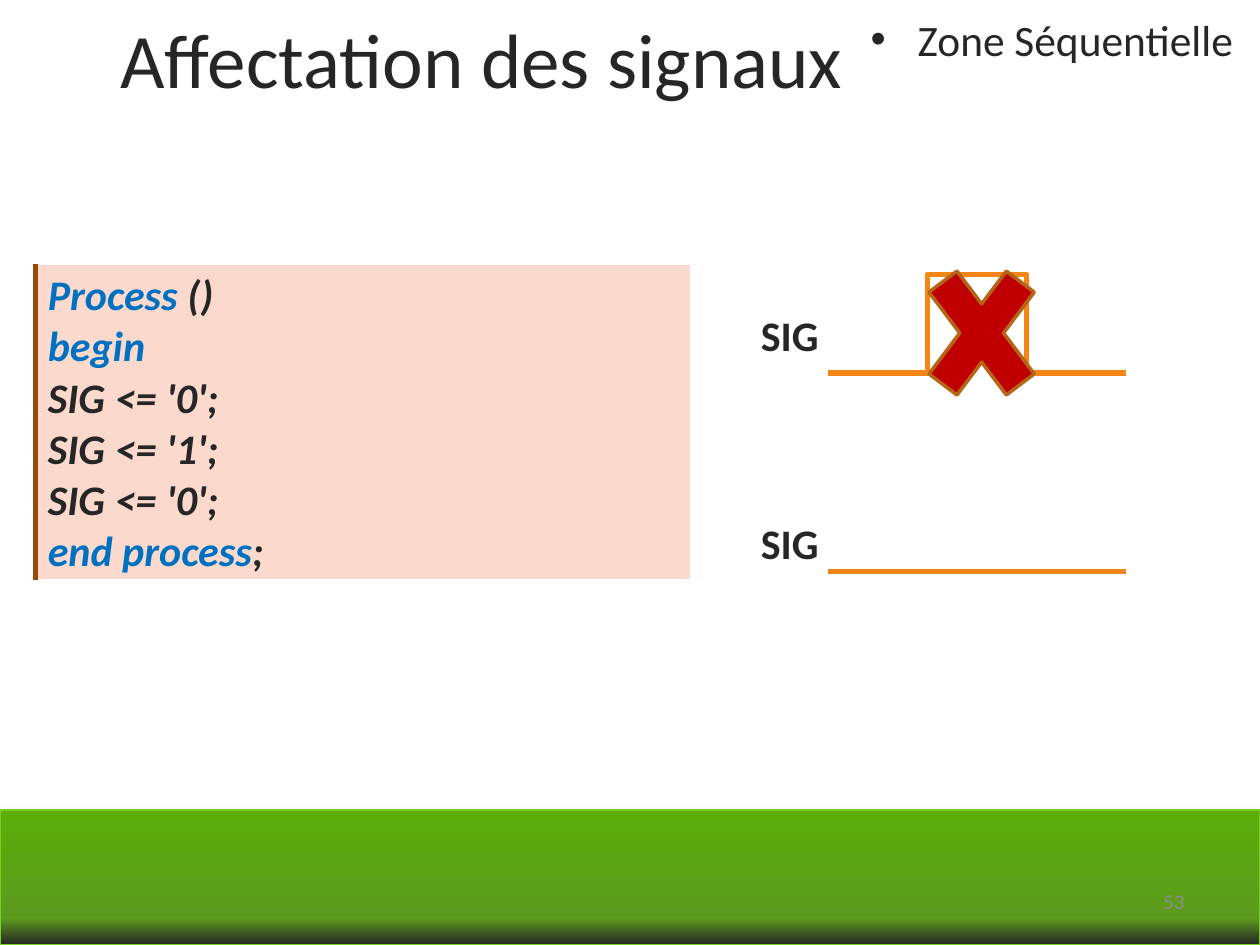
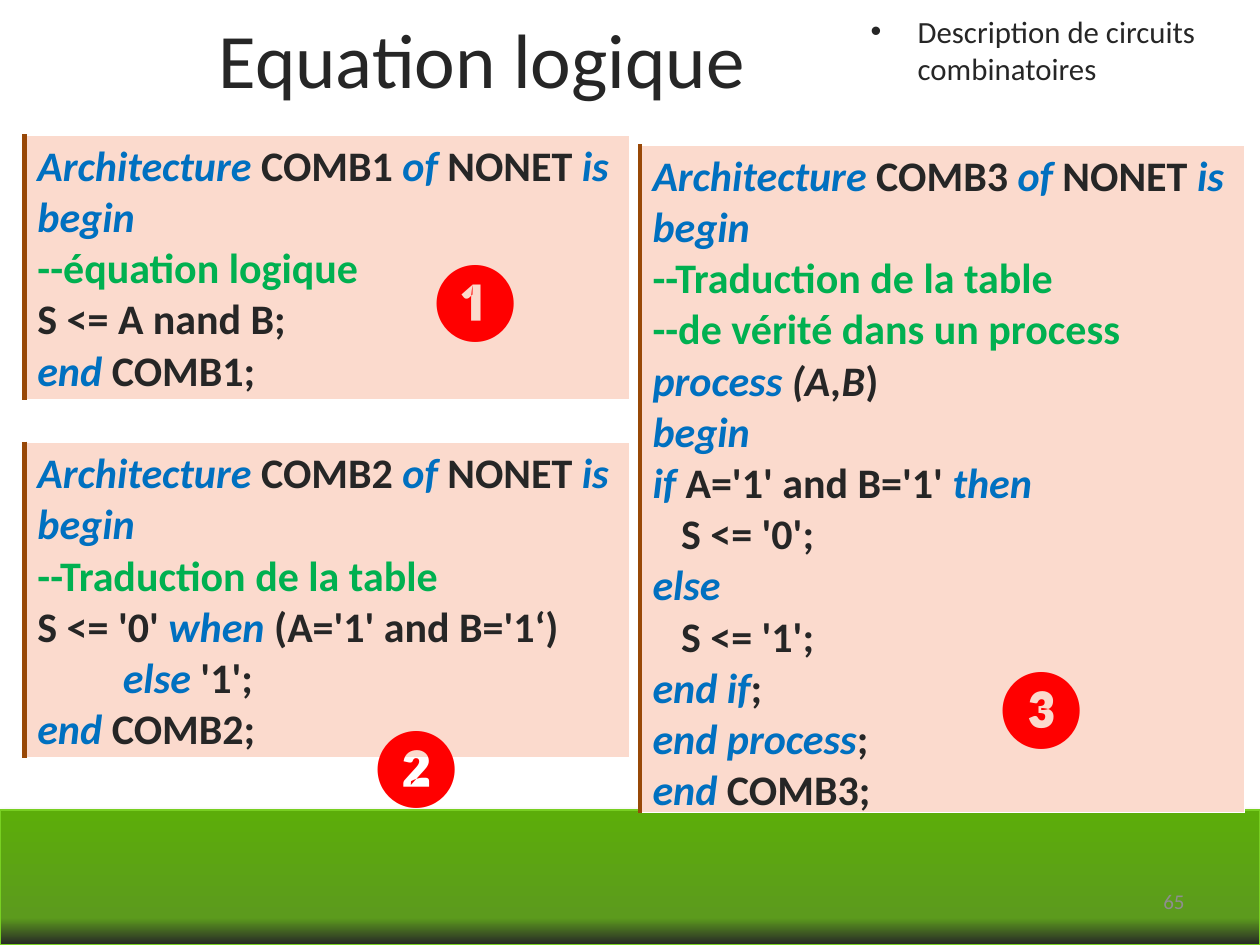
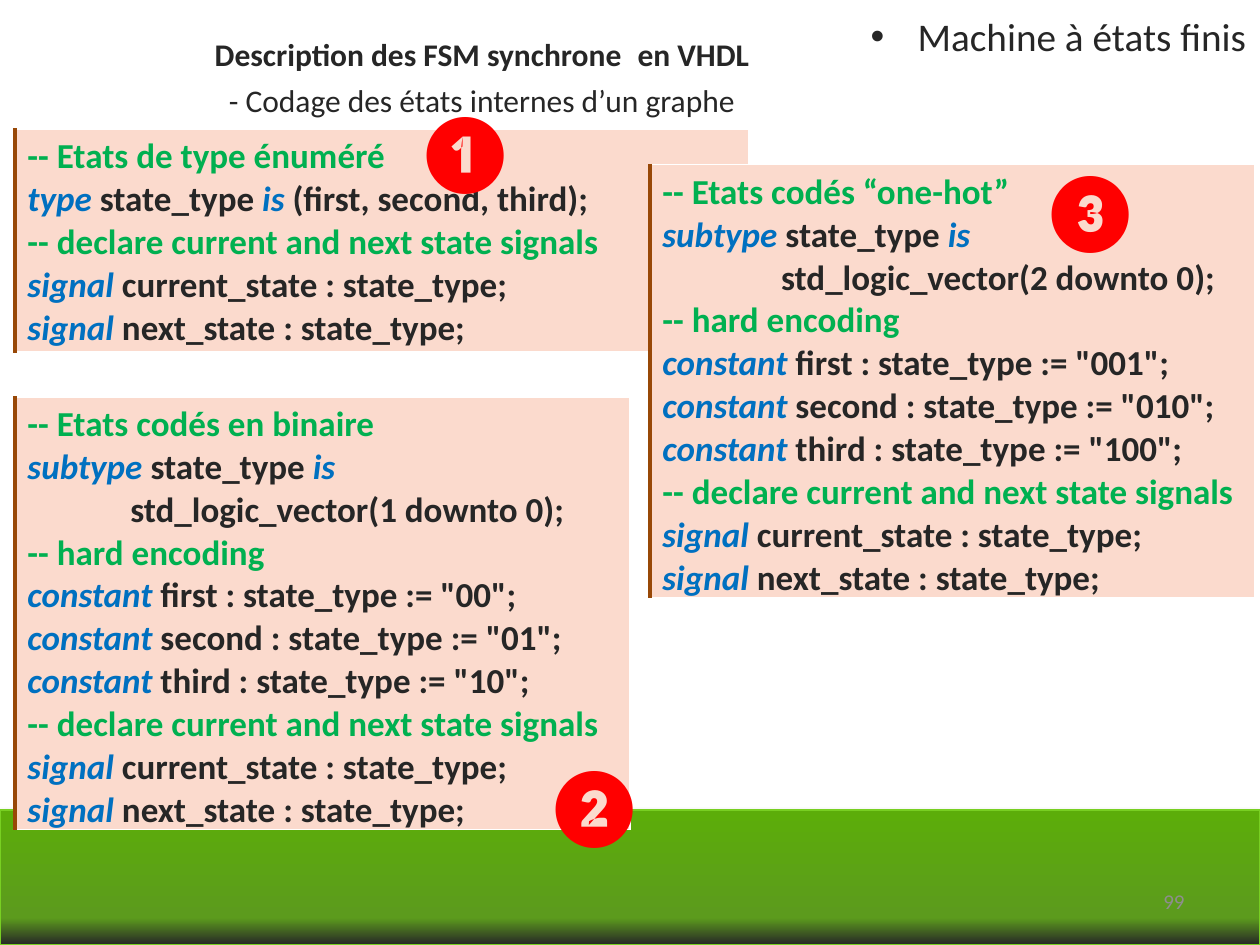
import copy

import pptx
import pptx.dml.color
import pptx.enum.shapes
import pptx.enum.text
import pptx.oxml
import pptx.oxml.ns
import pptx.util

Cm = pptx.util.Cm
Pt = pptx.util.Pt
MSO_SHAPE = pptx.enum.shapes.MSO_SHAPE
MSO_CONNECTOR = pptx.enum.shapes.MSO_CONNECTOR
MSO_ANCHOR = pptx.enum.text.MSO_ANCHOR
PP_ALIGN = pptx.enum.text.PP_ALIGN
NAMESPACE = pptx.oxml.ns.nsdecls("a")

COLORS = {
    "text": "262626",
    "keyword": "0070C0",
    "comment": "00B050",
    "number": "8E8E8E",
    "badge": "FF0000",
    "code": "FBDACD",
    "code_edge": "984807",
    "white": "FFFFFF",
    "band_top": "5CAD0A",
    "band_middle": "5C9B1D",
    "band_line": "78CF22",
    "signal": "F48618",
    "cross": "C00000",
    "cross_line": "B56516",
}
RGB = {name: pptx.dml.color.RGBColor.from_string(value) for name, value in COLORS.items()}

PROCESS = """|Process|~ ()
|begin|
~SIG <= '0';
~SIG <= '1';
~SIG <= '0';
|end process|~;"""

COMB1 = """|Architecture| COMB1 |of| NONET |is|
|begin|
--équation logique
S <= A nand B;
|end| COMB1;"""

COMB2 = """|Architecture| COMB2 |of| NONET |is|
|begin|
--Traduction de la table
S <= '0' |when| (A='1' and B='1‘)
|         else| '1';
|end| COMB2;"""

COMB3 = """|Architecture| COMB3 |of| NONET |is|
|begin|
--Traduction de la table
--de vérité dans un process
|process |~(A,B||)
|begin|
|if| A='1' and B='1' |then|
   S <= '0';
|else|
   S <= '1';
|end if|;
|end process|;
|end| COMB3;"""

STATE_SIGNALS = """
-- declare current and next state signals
|signal |current_state : state_type;
|signal |next_state : state_type;"""

ENUMERATED = """-- Etats de type énuméré
|type |state_type |is| (first, second, third);""" + STATE_SIGNALS

ENCODED = """-- Etats codés {}
|subtype |state_type |is|
{}std_logic_vector({} downto 0);
-- hard encoding
|constant| first : state_type := "{}";
|constant| second : state_type := "{}";
|constant| third : state_type := "{}";""" + STATE_SIGNALS

BINARY = ENCODED.format("en binaire", " " * 13, 1, "00", "01", "10")
ONE_HOT = ENCODED.format("“one-hot”", " " * 15, 2, "001", "010", "100")

PAGES = [
    {
        "number": "53",
        "title": [[("Affectation des signaux", 44, False)]],
        "topic": ("Zone Séquentielle", 24.8),
        "code_size": 24,
        "codes": [((0.71, 5.33, 13.21, 6.35), PROCESS)],
        "badges": [],
    },
    {
        "number": "65",
        "title": [[("Equation logique", 44, False)]],
        "topic": ("Description de circuits combinatoires", 17.6),
        "code_size": 24,
        "codes": [
            ((0.5, 2.72, 12.19, 5.33), COMB1),
            ((12.9, 2.92, 12.19, 13.46), COMB3),
            ((0.5, 8.92, 12.19, 6.35), COMB2),
        ],
        "badges": [(8.3, 4.93), (7.11, 14.32), (19.71, 13.14)],
    },
    {
        "number": "99",
        "title": [
            [("Description des FSM synchrone", 18, True), (" ", 39.6, True), ("en VHDL", 18, True)],
            [("- Codage des états internes d’un graphe", 18, False)],
        ],
        "topic": ("Machine à états finis", 22.4),
        "code_size": 20,
        "codes": [
            ((0.3, 2.6, 14.8, 4.5), ENUMERATED),
            ((0.3, 8.0, 12.4, 8.71), BINARY),
            ((13.1, 3.32, 12.19, 8.71), ONE_HOT),
        ],
        "badges": [(8.1, 1.94), (10.7, 15.12), (20.7, 3.13)],
    },
]


def style_font(font, size, color, bold=False, italic=False):
    font.name = "Calibri"
    font.size = Pt(size)
    font.color.rgb = RGB[color]
    font.bold = bold
    font.italic = italic


def add_text(slide, box, text, size, color, bold=False, wrap=True):
    shape = slide.shapes.add_textbox(*map(Cm, box))
    shape.text_frame.word_wrap = wrap
    shape.text_frame.text = text
    style_font(shape.text_frame.paragraphs[0].runs[0].font, size, color, bold)
    return shape


presentation = pptx.Presentation()
presentation.slide_width = Cm(25.4)
presentation.slide_height = Cm(19.05)
layout = presentation.slide_layouts[5]
slides = [presentation.slides.add_slide(layout) for page in PAGES]

band = slides[0].shapes.add_shape(MSO_SHAPE.RECTANGLE, 0, Cm(16.33), Cm(25.4), Cm(2.72))
band.fill.gradient()
band.fill.gradient_angle = 270
first_stop = band.element.xpath(".//a:gs")[0]
first_stop.addnext(copy.deepcopy(first_stop))
band_stops = [(0, "band_top"), (0.8, "band_middle"), (1, "text")]
for stop, (position, color) in zip(band.fill.gradient_stops, band_stops):
    stop.position = position
    stop.color.rgb = RGB[color]
band.line.color.rgb = RGB["band_line"]
band.line.width = Pt(0.75)
band.shadow.inherit = False
band.element.xpath(".//a:effectLst")[0].append(pptx.oxml.parse_xml(
    f'<a:outerShdw {NAMESPACE} blurRad="40000" dist="23000" dir="5400000" rotWithShape="0">'
    '<a:srgbClr val="000000"><a:alpha val="35000"/></a:srgbClr></a:outerShdw>'))
band.element.nvSpPr.cNvPr.id = 20
layout.shapes.element.append(band.element)

for slide, page in zip(slides, PAGES):
    number = add_text(slide, (18.2, 17.66, 5.93, 1.01), page["number"], 12, "number")
    number.text_frame.vertical_anchor = MSO_ANCHOR.MIDDLE
    number.text_frame.paragraphs[0].alignment = PP_ALIGN.RIGHT

    topic = add_text(slide, (17.3, 0.13, 8.1, 1.52), *page["topic"], "text")
    topic.text_frame.margin_right = 0
    properties = topic.text_frame.paragraphs[0]._p.get_or_add_pPr()
    properties.set("marL", str(Cm(0.95)))
    properties.set("indent", str(-Cm(0.95)))
    properties.append(pptx.oxml.parse_xml(f'<a:buFont {NAMESPACE} typeface="Arial"/>'))
    properties.append(pptx.oxml.parse_xml(f'<a:buChar {NAMESPACE} char="•"/>'))

    title = slide.shapes.title
    title.left, title.top, title.width, title.height = map(Cm, (0, 0, 19.43, 2.34))
    title_frame = title.text_frame
    title_frame.auto_size = pptx.enum.text.MSO_AUTO_SIZE.NONE
    title_frame.vertical_anchor = MSO_ANCHOR.MIDDLE
    title_frame.text = "\n" * (len(page["title"]) - 1)
    for paragraph, pieces in zip(title_frame.paragraphs, page["title"]):
        paragraph.alignment = PP_ALIGN.CENTER
        for text, size, bold in pieces:
            run = paragraph.add_run()
            run.text = text
            style_font(run.font, size, "text", bold)

    for box, code in page["codes"]:
        table = slide.shapes.add_table(1, 1, *map(Cm, box)).table
        table.first_row = False
        table.horz_banding = False
        cell = table.cell(0, 0)
        cell_properties = cell._tc.get_or_add_tcPr()
        for side in "LRTB":
            width, color = (Pt(3), "code_edge") if side == "L" else (Pt(1), "white")
            cell_properties.append(pptx.oxml.parse_xml(
                f'<a:ln{side} {NAMESPACE} w="{width}"><a:solidFill>'
                f'<a:srgbClr val="{COLORS[color]}"/></a:solidFill></a:ln{side}>'))
        cell.fill.solid()
        cell.fill.fore_color.rgb = RGB["code"]
        lines = code.split("\n")
        cell.text_frame.text = "\n" * (len(lines) - 1)
        for paragraph, line in zip(cell.text_frame.paragraphs, lines):
            plain_color = "comment" if line.startswith("--") else "text"
            for index, fragment in enumerate(line.split("|")):
                if fragment:
                    keyword = index % 2 == 1
                    run = paragraph.add_run()
                    run.text = fragment.removeprefix("~")
                    style_font(run.font, page["code_size"], "keyword" if keyword else plain_color,
                               True, keyword or fragment.startswith("~"))

    for symbol, (left, top) in zip("❶❷❸", page["badges"]):
        add_text(slide, (left, top, 4.19, 1.8), symbol, 44, "badge", True)

signal_slide = slides[0]
for top in (6.12, 10.31):
    add_text(signal_slide, (15.09, top, 2.54, 2.54), "SIG", 24, "text", True, False)

signal_lines = [
    (MSO_CONNECTOR.ELBOW, (16.7, 7.52, 20.7, 5.53)),
    (MSO_CONNECTOR.ELBOW, (22.7, 7.52, 18.7, 5.53)),
    (MSO_CONNECTOR.STRAIGHT, (16.7, 11.52, 22.7, 11.52)),
]
for kind, ends in signal_lines:
    connector = signal_slide.shapes.add_connector(kind, *map(Cm, ends))
    connector.line.color.rgb = RGB["signal"]
    connector.line.width = Pt(3)
    connector.element.spPr.append(pptx.oxml.parse_xml(f"<a:effectLst {NAMESPACE}/>"))

cross = signal_slide.shapes.add_shape(MSO_SHAPE.MATH_MULTIPLY, *map(Cm, (18.29, 4.72, 3.0, 3.99)))
cross.shadow.inherit = False
cross.fill.solid()
cross.fill.fore_color.rgb = RGB["cross"]
cross.line.color.rgb = RGB["cross_line"]
cross.line.width = Pt(2)

presentation.save("out.pptx")
